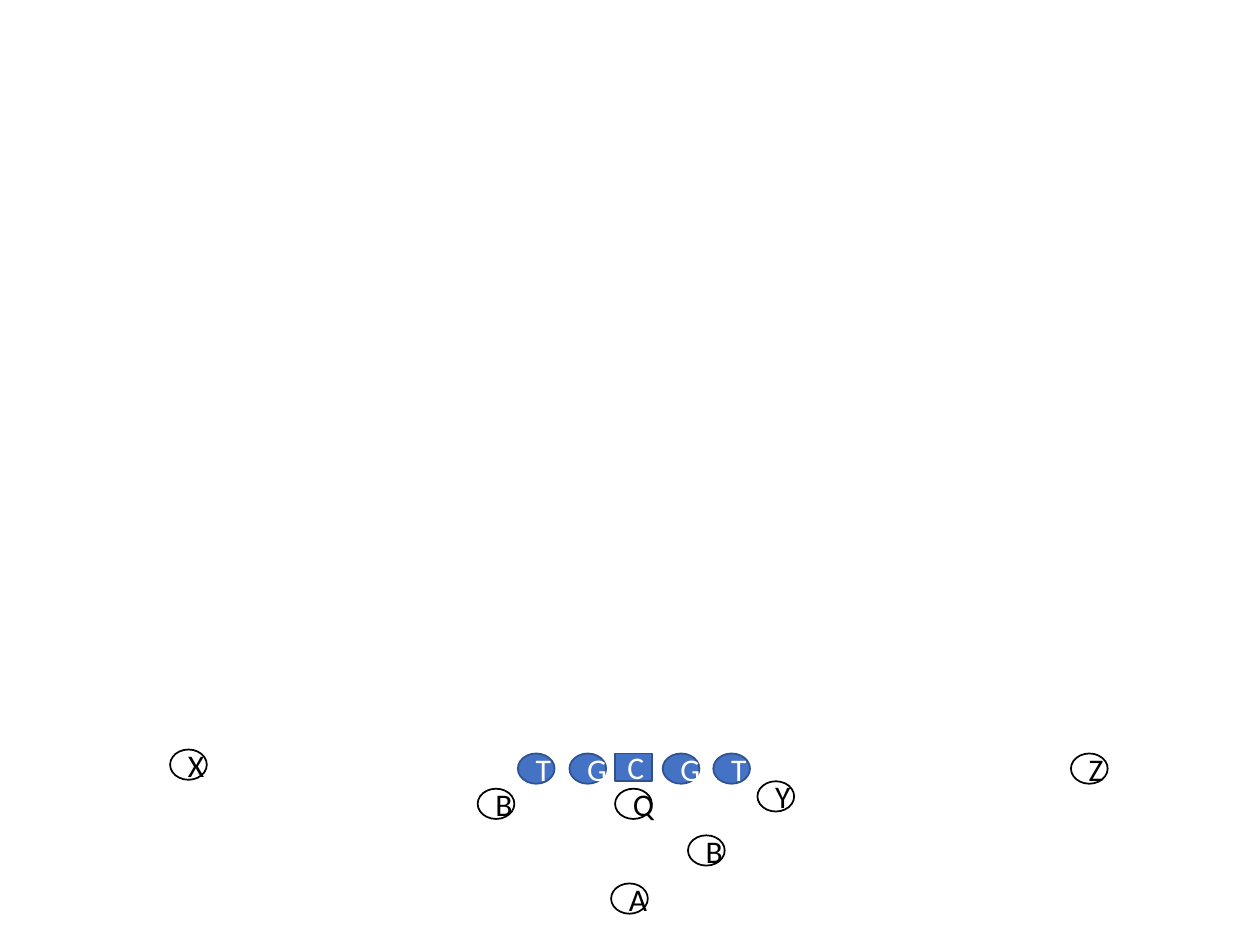
from pptx import Presentation
from pptx import util as u
from pptx.dml.color import RGBColor
from pptx.enum import shapes, text

THEME = {
    "font": "Calibri",
    "size": 18,
    "edge": 1,
    "line": {"fill": "4472C4", "rim": "2F528F", "ink": "FFFFFF"},
    "skill": {"fill": "FFFFFF", "rim": "000000", "ink": "000000"},
}

# Lengths in centimetres
WIDE, TALL, LOW = 0.74, 0.61, 0.56
FRONT, BACK = 15.19, 15.9
MID = 12.4

# Label, left, top
ENDS = [
    ("X", 3.43, 15.11),
    ("B", 9.63, BACK),
    ("Z", 21.59, FRONT),
    ("Y", 15.27, 15.75),
]
CENTER = ("C", MID, FRONT)
LINEMEN = [
    ("G", 11.48, FRONT),
    ("G", 13.36, FRONT),
    ("T", 14.38, FRONT),
    ("T", 10.44, FRONT),
]
BACKS = [
    ("Q", MID, BACK),
    ("B", 13.87, 16.84),
    ("A", 12.32, 17.81),
]


def color(name):
    return RGBColor.from_string(name)


def player(slide, spot, role, kind=shapes.MSO_SHAPE.OVAL, high=TALL):
    label, left, top = spot
    look = THEME[role]
    mark = slide.shapes.add_shape(
        kind, u.Cm(left), u.Cm(top), u.Cm(WIDE), u.Cm(high))
    mark.shadow.inherit = False
    mark.fill.solid()
    mark.fill.fore_color.rgb = color(look["fill"])
    mark.line.color.rgb = color(look["rim"])
    mark.line.width = u.Pt(THEME["edge"])
    frame = mark.text_frame
    frame.text = label
    frame.vertical_anchor = text.MSO_ANCHOR.MIDDLE
    para = frame.paragraphs[0]
    para.alignment = text.PP_ALIGN.CENTER
    font = para.runs[0].font
    font.name = THEME["font"]
    font.size = u.Pt(THEME["size"])
    font.color.rgb = color(look["ink"])


def main():
    deck = Presentation()
    deck.slide_width, deck.slide_height = u.Cm(25.4), u.Cm(19.05)
    slide = deck.slides.add_slide(deck.slide_layouts[6])
    for spot in ENDS:
        player(slide, spot, "skill")
    player(slide, CENTER, "line", shapes.MSO_SHAPE.RECTANGLE, LOW)
    for spot in LINEMEN:
        player(slide, spot, "line")
    for spot in BACKS:
        player(slide, spot, "skill")
    deck.save("out.pptx")


if __name__ == "__main__":
    main()
